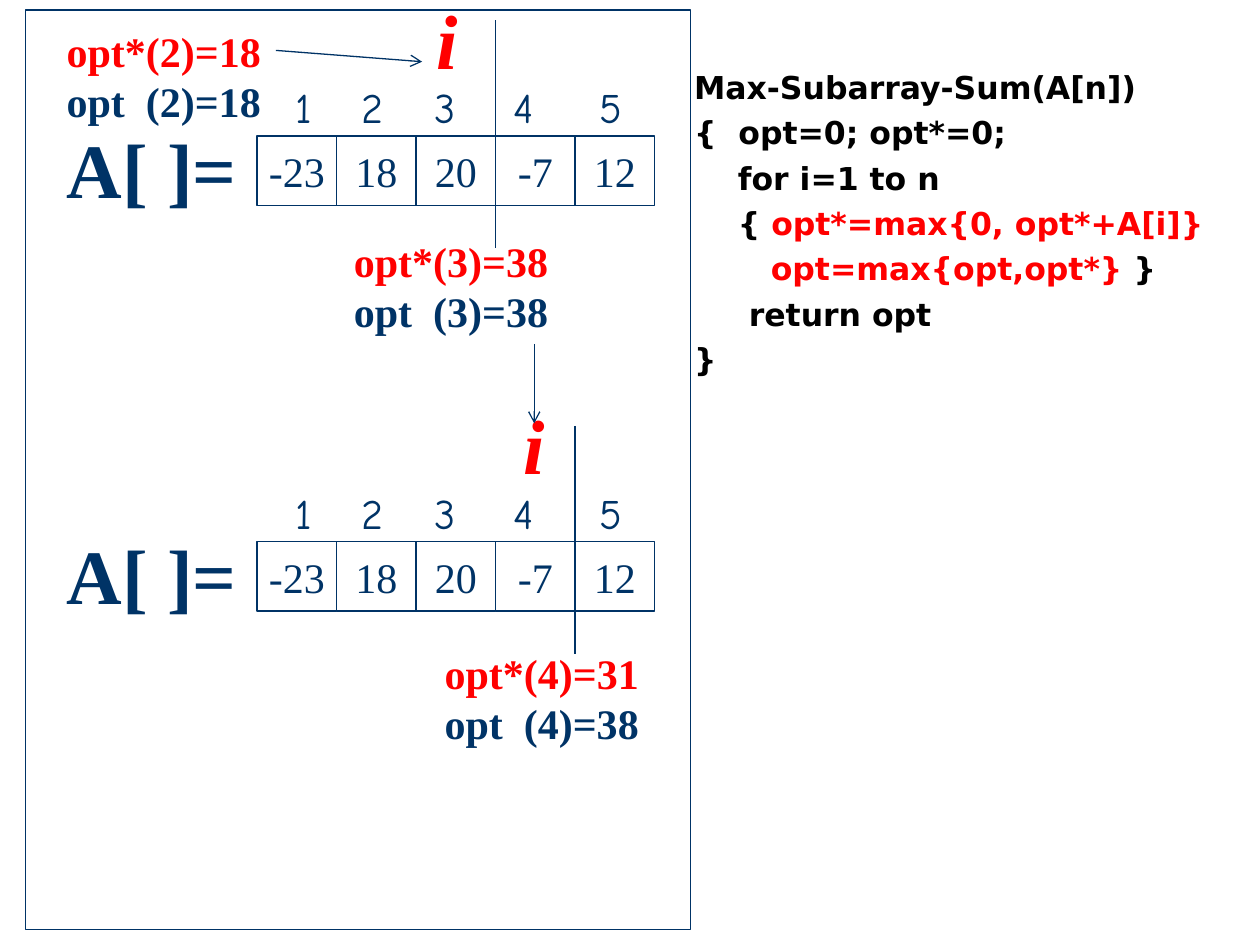
import pptx
import pptx.util
import pptx.dml.color
import pptx.enum.shapes
import pptx.enum.text
import pptx.oxml.ns
import lxml.etree

COLORS = {"navy": "003366", "red": "FF0000", "black": "000000", "white": "FFFFFF"}
SERIF, HAND, CODE = "Times New Roman", "Comic Neue", "DejaVu Sans"
UNIT = pptx.util.Inches(0.1)
SLIDE_COLUMNS, SLIDE_ROWS = 100, 75
CELL_COLUMNS, CELL_ROWS = 6.31, 5.5
VALUES = ["-23", "18", "20", "-7", "12"]
INDEX_COLUMNS = [18.2, 23.4, 29.2, 35.5, 42.3]
CODE_SPACE = 0.87
CODE_LINES = [
    (0, [("Max-Subarray-Sum(A[n])", "black")]),
    (0, [("{  opt=0; opt*=0;", "black")]),
    (4, [("for i=1 to n", "black")]),
    (4, [("{ ", "black"), ("opt*=max{0, opt*+A[i]}", "red")]),
    (7, [("opt=max{opt,opt*} ", "red"), ("}", "black")]),
    (5, [("return opt", "black")]),
    (0, [("}", "black")]),
]


def grid(*counts):
    """Turn counts of grid columns or rows into lengths."""
    return [round(count * UNIT) for count in counts]


def rgb(color):
    """Return the named colour."""
    return pptx.dml.color.RGBColor.from_string(COLORS[color])


def style(run, font, size, color, bold=False, italic=False):
    """Format one run."""
    run.font.name, run.font.size = font, pptx.util.Pt(size)
    run.font.bold, run.font.italic = bold, italic
    run.font.color.rgb = rgb(color)


def add_label(slide, box, lines, font, size, wrap=False, **emphasis):
    """Add a text box with one (text, colour) pair per paragraph."""
    frame = slide.shapes.add_textbox(*grid(*box)).text_frame
    frame.word_wrap = wrap
    frame.text = "\n".join(text for text, color in lines)
    for paragraph, (text, color) in zip(frame.paragraphs, lines):
        style(paragraph.runs[0], font, size, color, **emphasis)
    return frame


def add_frame(slide, box):
    """Add a white rectangle with a thin navy outline."""
    frame = slide.shapes.add_shape(
        pptx.enum.shapes.MSO_SHAPE.RECTANGLE, *grid(*box))
    frame.shadow.inherit = False
    frame.fill.solid()
    frame.fill.fore_color.rgb = rgb("white")
    frame.line.color.rgb = rgb("navy")
    frame.line.width = pptx.util.Pt(0.75)
    return frame


def add_line(slide, start, end, arrow=False):
    """Add a thin navy line, with an open arrowhead if asked."""
    line = slide.shapes.add_connector(
        pptx.enum.shapes.MSO_CONNECTOR.STRAIGHT, *grid(*start, *end))
    line.line.color.rgb = rgb("navy")
    line.line.width = pptx.util.Pt(0.75)
    qn = pptx.oxml.ns.qn
    if arrow:
        lxml.etree.SubElement(line.line._get_or_add_ln(), qn("a:tailEnd"), type="arrow")
    lxml.etree.SubElement(line._element.spPr, qn("a:effectLst"))


def add_optima(slide, left, top, step, best_ending, best):
    """Add the two optimum values reached after a step."""
    lines = [(f"opt*({step})={best_ending}", "red"), (f"opt  ({step})={best}", "navy")]
    add_label(slide, (left, top, 17.6, 9.1), lines, SERIF, 24, bold=True)


def add_array_state(slide, left, top, step, marker_column, optima_offset, optima):
    """Draw the array with its scan line after the given step."""
    name = add_label(slide, (left, top, 19.2, 9.2), [("A[ ]=", "navy")],
                     SERIF, 44, wrap=True, bold=True)
    name.paragraphs[0].line_spacing = 0.9
    cells_left = left + 16.1
    for position, value in enumerate(VALUES):
        cell = add_frame(slide, (cells_left + position * CELL_COLUMNS, top + 0.8,
                                 CELL_COLUMNS, CELL_ROWS)).text_frame
        cell.word_wrap = False
        cell.vertical_anchor = pptx.enum.text.MSO_ANCHOR.MIDDLE
        cell.text = value
        cell.paragraphs[0].alignment = pptx.enum.text.PP_ALIGN.CENTER
        style(cell.paragraphs[0].runs[0], SERIF, 24, "navy")
    for index, column in enumerate(INDEX_COLUMNS, start=1):
        add_label(slide, (left + column, top - 4, 3.8, 5), [(str(index), "navy")], HAND, 24)
    add_label(slide, (left + marker_column, top - 11.1, 3.7, 8.4), [("i", "red")],
              SERIF, 44, bold=True, italic=True)
    scan = cells_left + step * CELL_COLUMNS
    add_optima(slide, left + optima_offset[0], top + optima_offset[1], step, *optima)
    add_line(slide, (scan, top - 8.4), (scan, top + 9.7))


def add_trace(slide, left, top, width, height):
    """Draw the framed trace of two consecutive steps."""
    add_frame(slide, (left, top, width, height))
    inner = left + 2.3
    add_array_state(slide, inner, top + 9.2, 3, 29.4, (22.8, 8.2), (38, 38))
    add_array_state(slide, inner, top + 41.4, 4, 36.3, (30, 8.7), (31, 38))
    add_optima(slide, inner, top + 0.7, 2, 18, 18)
    add_line(slide, (left + 19.9, top + 3.2), (left + 31.5, top + 4.1), arrow=True)
    add_line(slide, (left + 40.4, top + 26.5), (left + 40.4, top + 32.8), arrow=True)


def add_algorithm(slide, left, top, width, height):
    """Write the pseudocode with indented lines."""
    frame = slide.shapes.add_textbox(*grid(left, top, width, height)).text_frame
    frame.word_wrap = True
    for number, (indent, parts) in enumerate(CODE_LINES):
        paragraph = frame.add_paragraph() if number else frame.paragraphs[0]
        paragraph.space_before = pptx.util.Pt(4.3 if number else 0)
        paragraph._p.get_or_add_pPr().set("marL", str(grid(indent * CODE_SPACE)[0]))
        for text, color in parts:
            run = paragraph.add_run()
            run.text = text
            style(run, CODE, 18, color, bold=True)


def main():
    """Build and save the slide."""
    deck = pptx.Presentation()
    deck.slide_width, deck.slide_height = grid(SLIDE_COLUMNS, SLIDE_ROWS)
    slide = deck.slides.add_slide(deck.slide_layouts[6])
    add_trace(slide, 2, 0.8, 52.8, 73)
    add_algorithm(slide, 54.1, 4.9, 47.1, 26.8)
    deck.save("out.pptx")


if __name__ == "__main__":
    main()
